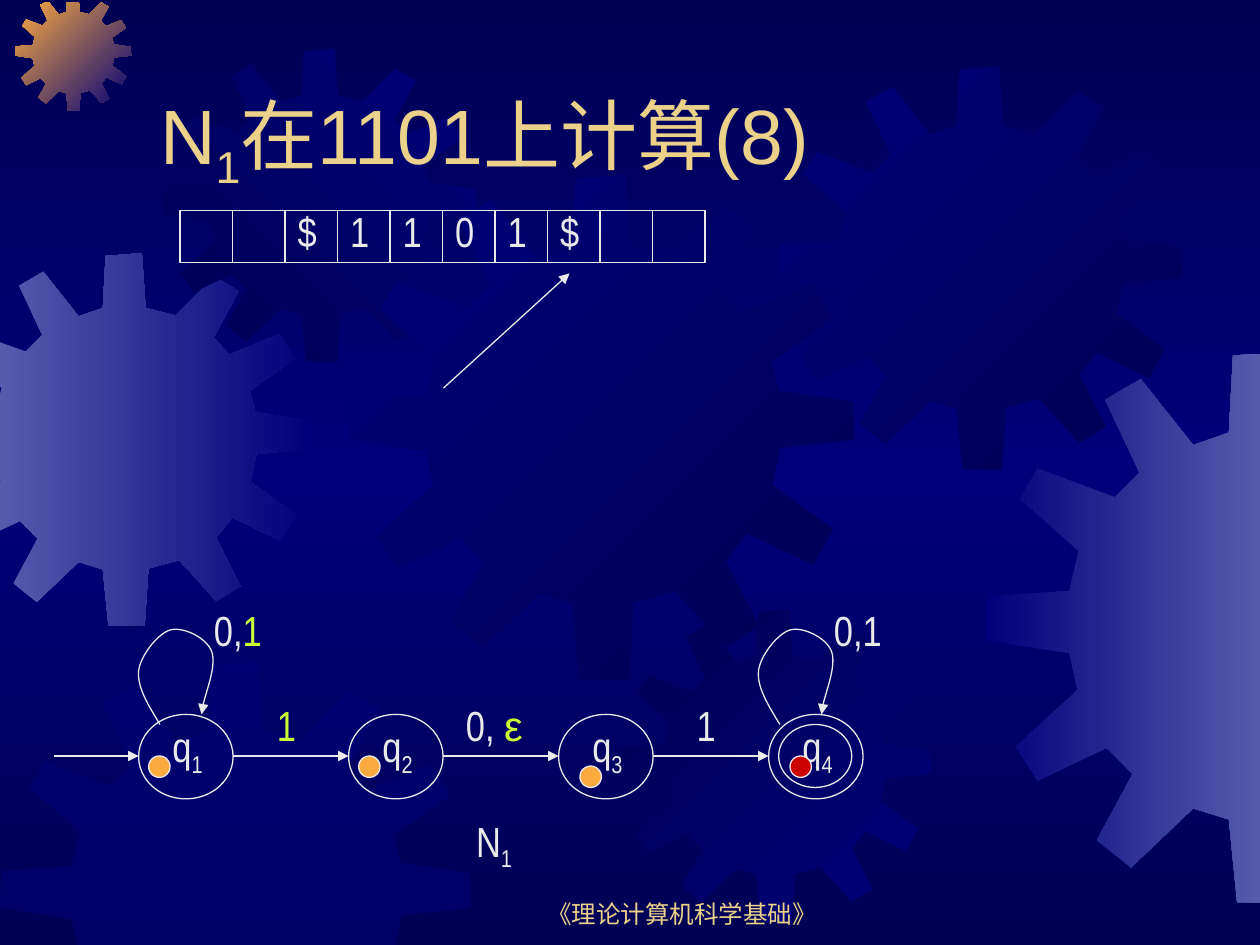
import copy
from dataclasses import dataclass

import lxml.etree
import pptx
import pptx.dml.color
import pptx.enum.shapes
import pptx.enum.text
import pptx.oxml.ns
import pptx.util
from pptx.util import Inches

LIGHT, GOLD, LIME, ORANGE, RED = "EAEAEA", "EBD189", "CCFF33", "FCAB40", "CC0000"
DARK_NAVY, NAVY, LAVENDER = "000054", "00007A", "555BAD"
RECTANGLE = pptx.enum.shapes.MSO_SHAPE.RECTANGLE
OVAL = pptx.enum.shapes.MSO_SHAPE.OVAL

# Gear outline on a grid of 401 by 401 units
GEAR_GRID = 401
GEAR_OUTLINE = [
    (255, 67), (223, 59), (219, 0), (180, 3), (177, 59), (151, 68), (113, 20), (87, 35),
    (112, 88), (94, 106), (38, 85), (25, 107), (68, 145), (61, 174), (1, 178), (0, 210),
    (61, 219), (67, 246), (22, 287), (38, 312), (88, 288), (107, 307), (81, 355), (106, 375),
    (151, 332), (177, 340), (183, 400), (222, 401), (226, 339), (259, 330), (299, 374), (325, 358),
    (299, 306), (316, 284), (368, 309), (384, 281), (336, 246), (342, 216), (401, 210), (400, 180),
    (341, 171), (335, 148), (383, 114), (367, 87), (313, 109), (296, 91), (323, 41), (297, 25)]
# Self-loop: a start point, then three points for each Bezier curve
LOOP_CURVE = [(0.17, 5.75), (0.08, 5.6), (-0.01, 5.46), (0, 5.33), (0.01, 5.21), (0.15, 5.03),
              (0.25, 5), (0.35, 4.97), (0.54, 5.06), (0.58, 5.17), (0.62, 5.28), (0.5, 5.58), (0.5, 5.67)]


@dataclass
class Gear:
    left: float
    top: float
    size: float
    colors: tuple
    angle: int = 0
    alpha: int = 100


@dataclass
class Run:
    text: str
    color: str = LIGHT
    font: str = "Arial Narrow"
    subscript: bool = False


@dataclass
class State:
    number: str
    left: float
    dot_left: float
    dot_top: float
    dot_color: str = ORANGE


def rgb(color: str):
    return pptx.dml.color.RGBColor.from_string(color)


def add_element(parent, tag: str, **attributes):
    return lxml.etree.SubElement(parent, pptx.oxml.ns.qn(tag), **attributes)


def set_gradient(fill, colors: tuple, angle: int) -> None:
    for index, (stop, color) in enumerate(zip(fill.gradient_stops, colors)):
        stop.color.rgb = rgb(color)
        stop.position = index / (len(colors) - 1)
    fill.gradient_angle = (360 - angle) % 360


def style_line(shape, arrow: bool = False) -> None:
    shape.line.color.rgb = rgb(LIGHT)
    shape.line.width = pptx.util.Pt(0.75)
    if arrow:
        add_element(shape.line._get_or_add_ln(), "a:tailEnd", type="triangle")


def clip(points: list, axis: int, limit: float, side: int) -> list:
    """Keep the part of a polygon where side * (coordinate - limit) >= 0."""
    kept = []
    for start, end in zip(points, points[1:] + points[:1]):
        before, after = (side * (point[axis] - limit) for point in (start, end))
        if before >= 0:
            kept.append(start)
        if before * after < 0:
            share = before / (before - after)
            kept.append(tuple(a + share * (b - a) for a, b in zip(start, end)))
    return kept


def add_freeform(slide, points: list, close: bool):
    corners = [(Inches(x), Inches(y)) for x, y in points]
    builder = slide.shapes.build_freeform(*corners[0])
    builder.add_line_segments(corners[1:], close=close)
    shape = builder.convert_to_shape()
    shape.shadow.inherit = False
    return shape


def add_gear(slide, gear: Gear) -> None:
    scale = gear.size / GEAR_GRID
    points = [(gear.left + x * scale, gear.top + y * scale) for x, y in GEAR_OUTLINE]
    for axis, limit, side in ((0, 0, 1), (0, 10, -1), (1, 0.02, 1), (1, 7.5, -1)):
        points = clip(points, axis, limit, side)
    shape = add_freeform(slide, points, close=True)
    shape.line.fill.background()
    if len(gear.colors) > 1:
        shape.fill.gradient()
        set_gradient(shape.fill, gear.colors, gear.angle)
        return
    shape.fill.solid()
    shape.fill.fore_color.rgb = rgb(gear.colors[0])
    color = shape.element.spPr.find(".//" + pptx.oxml.ns.qn("a:srgbClr"))
    add_element(color, "a:alpha", val=str(gear.alpha * 1000))


def add_outline(slide, kind, left: float, top: float, width: float, height: float, fill: str = "") -> None:
    shape = slide.shapes.add_shape(kind, Inches(left), Inches(top), Inches(width), Inches(height))
    shape.shadow.inherit = False
    if fill:
        shape.fill.solid()
        shape.fill.fore_color.rgb = rgb(fill)
    else:
        shape.fill.background()
    style_line(shape)


def add_arrow(slide, x1: float, y1: float, x2: float, y2: float) -> None:
    connector = slide.shapes.add_connector(pptx.enum.shapes.MSO_CONNECTOR.STRAIGHT,
                                           Inches(x1), Inches(y1), Inches(x2), Inches(y2))
    style_line(connector, arrow=True)
    add_element(connector.element.spPr, "a:effectLst")


def add_loop(slide, left: float) -> None:
    shape = add_freeform(slide, [(left + x, y) for x, y in LOOP_CURVE], close=False)
    shape.fill.background()
    style_line(shape, arrow=True)
    path = shape.element.spPr.find(".//" + pptx.oxml.ns.qn("a:path"))
    segments = path.findall(pptx.oxml.ns.qn("a:lnTo"))
    for index in range(0, len(segments), 3):
        curve = add_element(path, "a:cubicBezTo")
        for segment in segments[index:index + 3]:
            curve.append(segment[0])
            path.remove(segment)


def write_text(shape, runs: list, *, size: float = 24, align: str = "LEFT", anchor: str = "TOP",
               auto_size: str = "SHAPE_TO_FIT_TEXT") -> None:
    frame = shape.text_frame
    frame.word_wrap = True
    frame.auto_size = getattr(pptx.enum.text.MSO_AUTO_SIZE, auto_size)
    frame.vertical_anchor = getattr(pptx.enum.text.MSO_ANCHOR, anchor)
    paragraph = frame.paragraphs[0]
    paragraph.alignment = getattr(pptx.enum.text.PP_ALIGN, align)
    for item in runs:
        run = paragraph.add_run()
        run.text = item.text
        run.font.size = pptx.util.Pt(size)
        run.font.name = item.font
        run.font.color.rgb = rgb(item.color)
        if item.subscript:
            run.font._element.set("baseline", "-25000")


def add_text(slide, left: float, top: float, width: float, height: float, runs: list, **text_format) -> None:
    box = slide.shapes.add_textbox(Inches(left), Inches(top), Inches(width), Inches(height))
    write_text(box, runs, **text_format)


def main() -> None:
    presentation = pptx.Presentation()
    presentation.slide_width, presentation.slide_height = Inches(10), Inches(7.5)
    slide = presentation.slides.add_slide(presentation.slide_layouts[5])

    # Background gradient with three stops
    background = slide.background.fill
    background.gradient()
    stops = slide.element.find(".//" + pptx.oxml.ns.qn("a:gsLst"))
    stops.append(copy.deepcopy(stops[0]))
    set_gradient(background, (DARK_NAVY, NAVY, DARK_NAVY), 90)

    # Decorative gears
    for gear in (Gear(-0.49, 2.01, 2.96, (LAVENDER, NAVY)),
                 Gear(0.12, -0.04, 0.92, (ORANGE, NAVY), 45),
                 Gear(1.3, 0.39, 2.48, (DARK_NAVY, NAVY), 315),
                 Gear(2.77, 1.39, 4.01, (NAVY, DARK_NAVY), 45),
                 Gear(0, 5.25, 3.74, (NAVY,), alpha=50),
                 Gear(4.91, 4.84, 2.48, (DARK_NAVY, NAVY), 45),
                 Gear(6.18, 0.53, 3.2, (NAVY, DARK_NAVY), 45),
                 Gear(7.82, 2.79, 4.38, (NAVY, LAVENDER))):
        add_gear(slide, gear)

    # Title, brought in front of the gears, and footer
    title = slide.shapes.title
    title.left, title.top, title.width, title.height = Inches(1.17), Inches(0.33), Inches(8.5), Inches(1.25)
    write_text(title, [Run("N", GOLD, "Arial"), Run("1", GOLD, "Arial", subscript=True),
                       Run("在1101上计算(8)", GOLD, "Arial")], size=44, anchor="BOTTOM", auto_size="NONE")
    title.element.getparent().append(title.element)
    add_text(slide, 3.83, 6.92, 3.17, 0.5, [Run("《理论计算机科学基础》", GOLD, "Arial")],
             size=14, align="CENTER", anchor="BOTTOM", auto_size="NONE")

    # Input tape and its reading head
    cell = 5 / 12
    for index, symbol in enumerate(["", "", "$", "1", "1", "0", "1", "$", "", ""]):
        left = 1.43 + index * cell
        add_outline(slide, RECTANGLE, left, 1.67, cell, cell)
        if symbol:
            add_text(slide, left, 1.58, cell, 0.5, [Run(symbol)])
    add_arrow(slide, 3.52, 3.08, 4.52, 2.17)

    # States, with an arrow coming into each
    step, width = 5 / 3, 0.75
    states = [State("1", 1.1, 0.08, 6), State("2", 1.1 + step, 0.08, 6),
              State("3", 1.1 + 2 * step, 0.17, 6.08), State("4", 1.1 + 3 * step, 0.17, 6, RED)]
    arrow_start = 0.43
    for state in states:
        add_outline(slide, OVAL, state.left, 5.67, width, 0.67)
        add_arrow(slide, arrow_start, 6, state.left, 6)
        add_text(slide, state.left + 0.17, 5.67, 0.5, 0.56, [Run("q"), Run(state.number, subscript=True)])
        add_outline(slide, OVAL, state.left + state.dot_left, state.dot_top, 0.17, 0.17, state.dot_color)
        arrow_start = state.left + width
    add_outline(slide, OVAL, 6.18, 5.75, 0.58, 0.5)

    # Self-loops and transition labels
    for left, runs in ((1.1, [Run("0,"), Run("1", LIME)]), (6.02, [Run("0,1")])):
        add_loop(slide, left)
        add_text(slide, left + 0.5, 4.75, 0.67, 0.5, runs)
    for left, label_width, runs in ((2.1, 0.5, [Run("1", LIME)]),
                                    (3.6, 0.67, [Run("0, "), Run("ε", LIME, "Arial")]),
                                    (5.43, 0.5, [Run("1")])):
        add_text(slide, left, 5.5, label_width, 0.5, runs)
    add_text(slide, 3.68, 6.42, 0.67, 0.56, [Run("N"), Run("1", subscript=True)])

    presentation.save("out.pptx")


if __name__ == "__main__":
    main()
